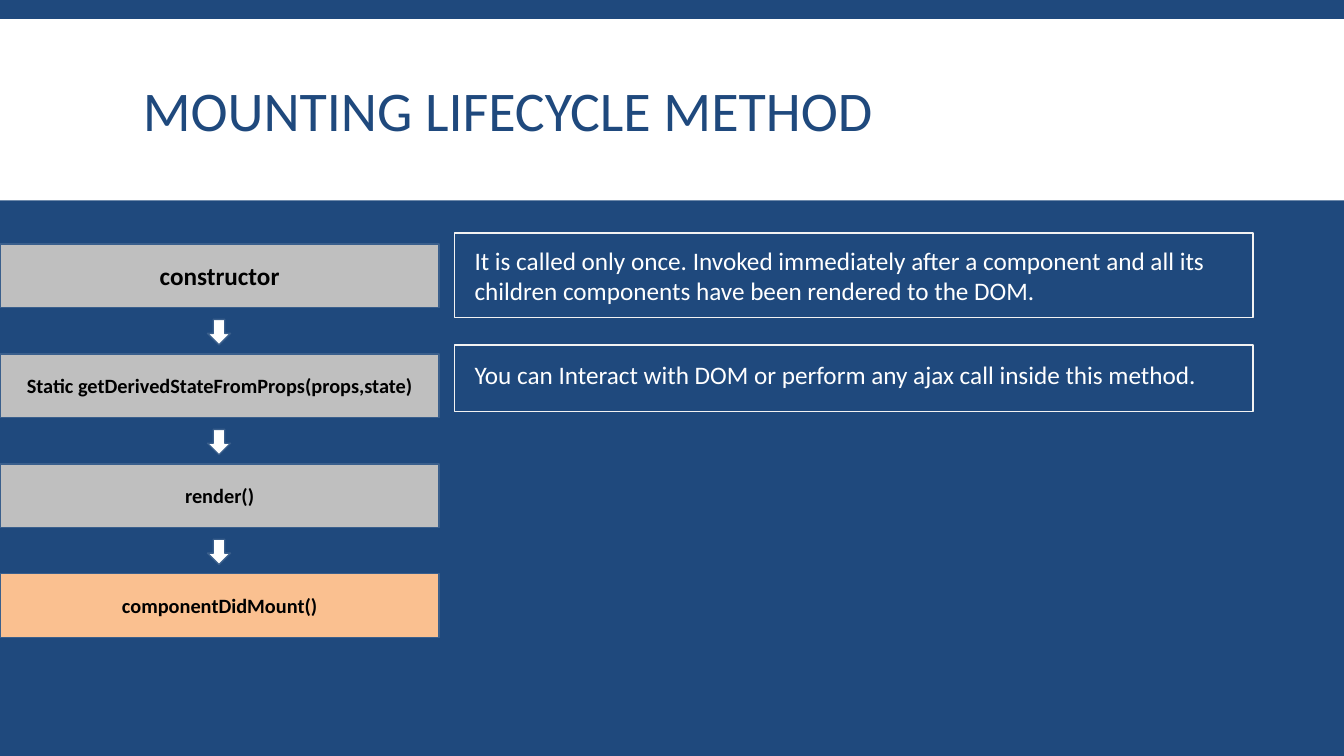
from dataclasses import dataclass

from pptx import Presentation
from pptx.dml.color import RGBColor
from pptx.enum.shapes import MSO_SHAPE
from pptx.enum.text import MSO_ANCHOR, PP_ALIGN
from pptx.util import Cm, Pt


@dataclass(frozen=True)
class Theme:
    """Colours and type sizes of the slide."""
    font: str = "Calibri"
    navy: str = "1F497D"
    white: str = "FFFFFF"
    black: str = "000000"
    grey: str = "BFBFBF"
    peach: str = "FAC090"
    edge: str = "3A5F8C"
    frame: str = "F2F2F2"
    title_size: float = 40
    body_size: float = 18
    step_size: float = 14.5


THEME = Theme()
SLIDE_WIDTH = 33.87
STEP_TOP, STEP_PITCH = 6.15, 2.77
STEP_WIDTH, STEP_HEIGHT = 11.07, 1.6
ARROW_LEFT, ARROW_OFFSET = 5.23, 1.9
NOTE_LEFT, NOTE_WIDTH = 11.46, 20.12
STEPS = [
    ("constructor", THEME.body_size, THEME.grey),
    ("Static getDerivedStateFromProps(props,state)", THEME.step_size, THEME.grey),
    ("render()", THEME.step_size, THEME.grey),
    ("componentDidMount()", THEME.step_size, THEME.peach),
]
# Frame top, frame height, text top, text height, lines
NOTES = [
    (5.87, 2.13, 6.05, 1.8,
     ["It is called only once. Invoked immediately after a component and all its",
      "children components have been rendered to the DOM."]),
    (8.69, 1.68, 8.92, 1.02,
     ["You can Interact with DOM or perform any ajax call inside this method."]),
]


def rgb(code):
    """Turn a hex code into a colour."""
    return RGBColor.from_string(code)


def write(frame, lines, size, colour, bold=False, align=PP_ALIGN.LEFT,
          anchor=MSO_ANCHOR.TOP):
    """Fill a text frame with one paragraph per line and format it."""
    frame.text = "\n".join(lines)
    frame.word_wrap = True
    frame.vertical_anchor = anchor
    for paragraph in frame.paragraphs:
        paragraph.alignment = align
        for run in paragraph.runs:
            run.font.name = THEME.font
            run.font.size = Pt(size)
            run.font.bold = bold
            run.font.color.rgb = rgb(colour)


def add_block(slide, kind, box, fill=None, line=None):
    """Add a flat preset shape; box is left, top, width, height in cm."""
    block = slide.shapes.add_shape(kind, *map(Cm, box))
    block.shadow.inherit = False
    if fill:
        block.fill.solid()
        block.fill.fore_color.rgb = rgb(fill)
    else:
        block.fill.background()
    if line:
        block.line.color.rgb = rgb(line)
        block.line.width = Pt(1)
    else:
        block.line.fill.background()
    return block


def add_title(slide, heading):
    """Add the white band with the heading on it."""
    add_block(slide, MSO_SHAPE.RECTANGLE, (0, 0.48, SLIDE_WIDTH, 4.57), THEME.white)
    title = slide.shapes.add_textbox(Cm(3.35), Cm(0.79), Cm(27.18), Cm(4.19))
    write(title.text_frame, [heading], THEME.title_size, THEME.navy,
          anchor=MSO_ANCHOR.MIDDLE)
    title.text_frame.paragraphs[0].line_spacing = 0.85


def add_step(slide, index, label, size, fill):
    """Add one lifecycle step, led by an arrow unless it is the first."""
    top = STEP_TOP + index * STEP_PITCH
    if index:
        arrow_top = top - STEP_PITCH + ARROW_OFFSET
        add_block(slide, MSO_SHAPE.DOWN_ARROW, (ARROW_LEFT, arrow_top, 0.58, 0.64),
                  THEME.white, THEME.edge)
    step = add_block(slide, MSO_SHAPE.RECTANGLE, (0, top, STEP_WIDTH, STEP_HEIGHT),
                     fill, THEME.edge)
    write(step.text_frame, [label], size, THEME.black, bold=True,
          align=PP_ALIGN.CENTER, anchor=MSO_ANCHOR.MIDDLE)


def add_note(slide, top, height, text_top, text_height, lines):
    """Add a framed explanation."""
    add_block(slide, MSO_SHAPE.RECTANGLE, (NOTE_LEFT, top, NOTE_WIDTH, height),
              line=THEME.frame)
    note = slide.shapes.add_textbox(Cm(NOTE_LEFT + 0.25), Cm(text_top),
                                    Cm(NOTE_WIDTH - 0.6), Cm(text_height))
    write(note.text_frame, lines, THEME.body_size, THEME.white)


def main():
    """Build and save the slide."""
    deck = Presentation()
    deck.slide_width, deck.slide_height = Cm(SLIDE_WIDTH), Cm(19.05)
    slide = deck.slides.add_slide(deck.slide_layouts[6])
    slide.background.fill.solid()
    slide.background.fill.fore_color.rgb = rgb(THEME.navy)
    add_title(slide, "MOUNTING LIFECYCLE METHOD")
    for index, step in enumerate(STEPS):
        add_step(slide, index, *step)
    for note in NOTES:
        add_note(slide, *note)
    deck.save("out.pptx")


main()
